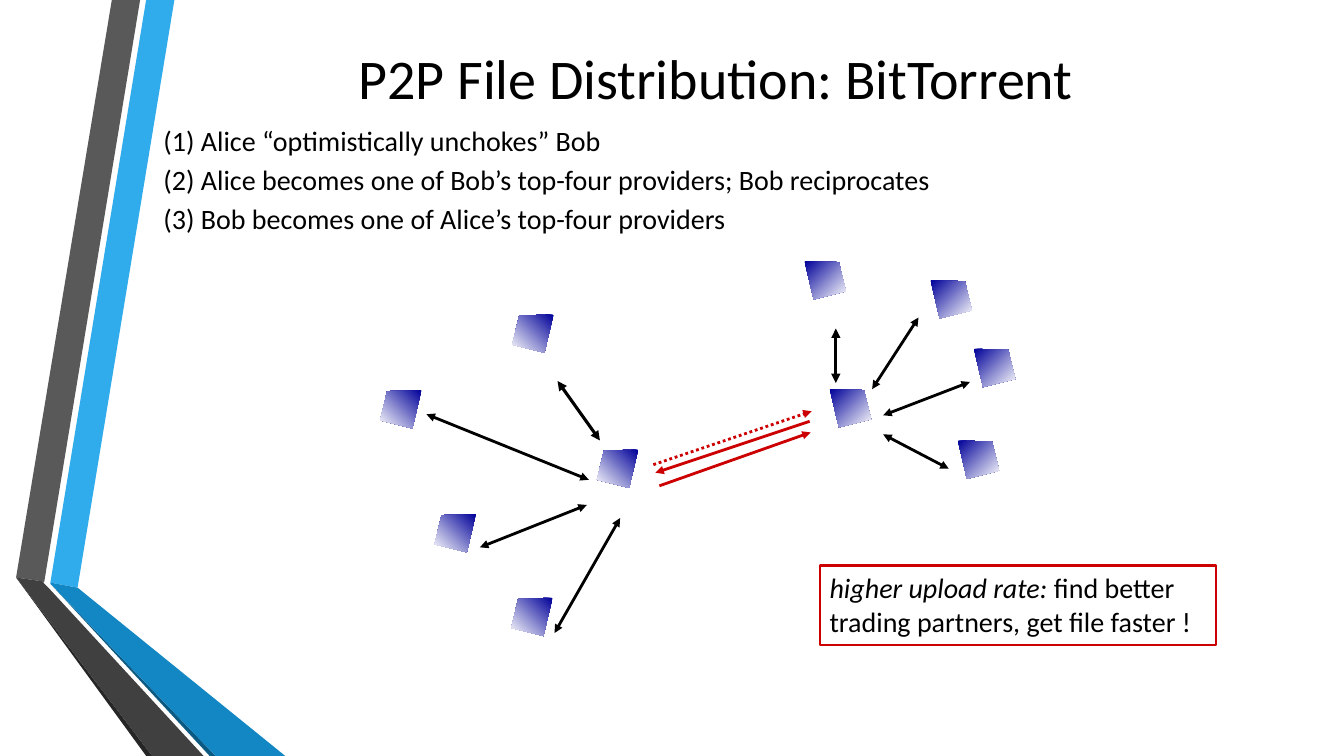
from dataclasses import dataclass

from lxml.etree import SubElement
from pptx import Presentation
from pptx.dml.color import RGBColor
from pptx.enum.dml import MSO_LINE
from pptx.enum.shapes import MSO_CONNECTOR, MSO_SHAPE
from pptx.enum.text import MSO_ANCHOR as Anchor, MSO_AUTO_SIZE as AutoSize, PP_ALIGN as Align
from pptx.oxml.ns import qn
from pptx.shapes.autoshape import Shape
from pptx.slide import Slide
from pptx.util import Pt

PX = 9144
FONT = "Calibri"
BLACK = RGBColor(0x00, 0x00, 0x00)
WHITE = RGBColor(0xFF, 0xFF, 0xFF)
RED = RGBColor(0xCC, 0x00, 0x00)
NAVY = RGBColor(0x00, 0x00, 0x99)
SKY = RGBColor(0x30, 0xAC, 0xEC)
GREY = RGBColor(0x59, 0x59, 0x59)
SOOT = RGBColor(0x26, 0x26, 0x26)
DEEP_BLUE = RGBColor(0x0C, 0x5A, 0x82)
BLUE = RGBColor(0x12, 0x87, 0xC3)
CHARCOAL = RGBColor(0x40, 0x40, 0x40)

Point = tuple[int, int]


@dataclass(frozen=True)
class Ribbon:
    color: RGBColor
    corners: list[Point]


@dataclass(frozen=True)
class Peer:
    left: int
    top: int
    mirrored: bool = False


@dataclass(frozen=True)
class Exchange:
    start: Point
    end: Point
    color: RGBColor = BLACK
    weight: float = 2
    two_way: bool = True
    dotted: bool = False


RIBBONS = [
    Ribbon(SKY, [(50, 578), (77, 583), (173, 0), (145, 0)]),
    Ribbon(GREY, [(139, 0), (111, 0), (16, 573), (44, 577)]),
    Ribbon(SOOT, [(16, 573), (145, 750), (151, 750)]),
    Ribbon(DEEP_BLUE, [(50, 579), (208, 750), (214, 750)]),
    Ribbon(BLUE, [(50, 578), (50, 579), (214, 750), (283, 750), (77, 583)]),
    Ribbon(CHARCOAL, [(202, 750), (48, 583), (43, 578), (44, 577), (16, 573), (151, 750)]),
]
EXCHANGES = [
    Exchange((584, 476), (423, 411)),
    Exchange((582, 501), (476, 543)),
    Exchange((615, 514), (550, 628)),
    Exchange((865, 386), (911, 315)),
    Exchange((876, 412), (962, 379)),
    Exchange((876, 431), (941, 465)),
    Exchange((648, 461), (805, 408), RED, two_way=False, dotted=True),
    Exchange((803, 418), (650, 469), RED, two_way=False),
    Exchange((654, 482), (804, 429), RED, two_way=False),
    Exchange((829, 326), (829, 380), weight=2.25),
    Exchange((553, 378), (595, 437), weight=2.25),
]
PEER_WIDTH = 41
PEER_CORNERS = [(0, 0), (34, 1), (41, 30), (9, 38)]
PEERS = [
    Peer(431, 510, True),
    Peer(507, 593, True),
    Peer(377, 387, True),
    Peer(592, 446, True),
    Peer(508, 312, True),
    Peer(950, 437),
    Peer(966, 346),
    Peer(923, 278),
    Peer(823, 386),
    Peer(798, 259),
]
STEPS = [
    "(1) Alice “optimistically unchokes” Bob",
    "(2) Alice becomes one of Bob’s top-four providers; Bob reciprocates",
    "(3) Bob becomes one of Alice’s top-four providers",
]


def place(shape: Shape, left: int, top: int, width: int, height: int) -> None:
    shape.left, shape.top = left * PX, top * PX
    shape.width, shape.height = width * PX, height * PX


def add_run(paragraph, text: str, size: int = 20, italic: bool = False) -> None:
    run = paragraph.add_run()
    run.text = text
    run.font.name = FONT
    run.font.size = Pt(size)
    run.font.italic = italic
    run.font.color.rgb = BLACK


def draw_outline(slide: Slide, corners: list[Point]) -> Shape:
    builder = slide.shapes.build_freeform(*corners[0], scale=PX)
    builder.add_line_segments(corners[1:], close=True)
    outline = builder.convert_to_shape()
    outline.shadow.inherit = False
    outline.line.fill.background()
    return outline


def draw_ribbon(slide: Slide, ribbon: Ribbon) -> None:
    fill = draw_outline(slide, ribbon.corners).fill
    fill.solid()
    fill.fore_color.rgb = ribbon.color


def draw_peer(slide: Slide, peer: Peer) -> None:
    corners = [
        (peer.left + (PEER_WIDTH - x if peer.mirrored else x), peer.top + y)
        for x, y in PEER_CORNERS
    ]
    fill = draw_outline(slide, corners).fill
    fill.gradient()
    fill.gradient_angle = 225 if peer.mirrored else 315
    for stop, color in zip(fill.gradient_stops, (NAVY, WHITE)):
        stop.color.rgb = color


def draw_exchange(slide: Slide, exchange: Exchange) -> None:
    ends = [length * PX for length in exchange.start + exchange.end]
    arrow = slide.shapes.add_connector(MSO_CONNECTOR.STRAIGHT, *ends)
    arrow.line.color.rgb = exchange.color
    arrow.line.width = Pt(exchange.weight)
    if exchange.dotted:
        arrow.line.dash_style = MSO_LINE.ROUND_DOT
    properties = arrow._element.spPr
    outline = properties.find(qn("a:ln"))
    for tag in ("a:headEnd", "a:tailEnd") if exchange.two_way else ("a:tailEnd",):
        SubElement(outline, qn(tag), type="triangle")
    SubElement(properties, qn("a:effectLst"))


def write_title(slide: Slide) -> None:
    title = slide.shapes.title
    place(title, 162, 36, 1096, 81)
    title.text_frame.auto_size = AutoSize.NONE
    title.text_frame.vertical_anchor = Anchor.MIDDLE
    heading = title.text_frame.paragraphs[0]
    heading.alignment = Align.CENTER
    add_run(heading, "P2P File Distribution: BitTorrent", 40)


def write_steps(slide: Slide) -> None:
    steps = slide.placeholders[1]
    place(steps, 162, 123, 800, 112)
    frame = steps.text_frame
    frame.auto_size = AutoSize.NONE
    frame.vertical_anchor = Anchor.TOP
    frame.margin_left = frame.margin_right = frame.margin_top = frame.margin_bottom = 0
    for index, text in enumerate(STEPS):
        step = frame.add_paragraph() if index else frame.paragraphs[0]
        properties = step._p.get_or_add_pPr()
        properties.set("marL", "0")
        properties.set("indent", "0")
        SubElement(properties, qn("a:buNone"))
        step.space_before = Pt(0)
        step.space_after = Pt(3.7)
        add_run(step, text)


def draw_takeaway(slide: Slide) -> None:
    takeaway = slide.shapes.add_shape(MSO_SHAPE.RECTANGLE, 0, 0, 0, 0)
    place(takeaway, 813, 561, 393, 79)
    takeaway.shadow.inherit = False
    takeaway.fill.background()
    takeaway.line.color.rgb = RED
    takeaway.line.width = Pt(1.5)
    takeaway.text_frame.word_wrap = True
    takeaway.text_frame.vertical_anchor = Anchor.TOP
    sentence = takeaway.text_frame.paragraphs[0]
    sentence.alignment = Align.LEFT
    add_run(sentence, "higher upload rate:", italic=True)
    add_run(sentence, " find better trading partners, get file faster !")


def main() -> None:
    deck = Presentation()
    deck.slide_width, deck.slide_height = 1333 * PX, 750 * PX
    slide = deck.slides.add_slide(deck.slide_layouts[1])
    for ribbon in RIBBONS:
        draw_ribbon(slide, ribbon)
    write_title(slide)
    write_steps(slide)
    for exchange in EXCHANGES:
        draw_exchange(slide, exchange)
    draw_takeaway(slide)
    for peer in PEERS:
        draw_peer(slide, peer)
    deck.save("out.pptx")


if __name__ == "__main__":
    main()
